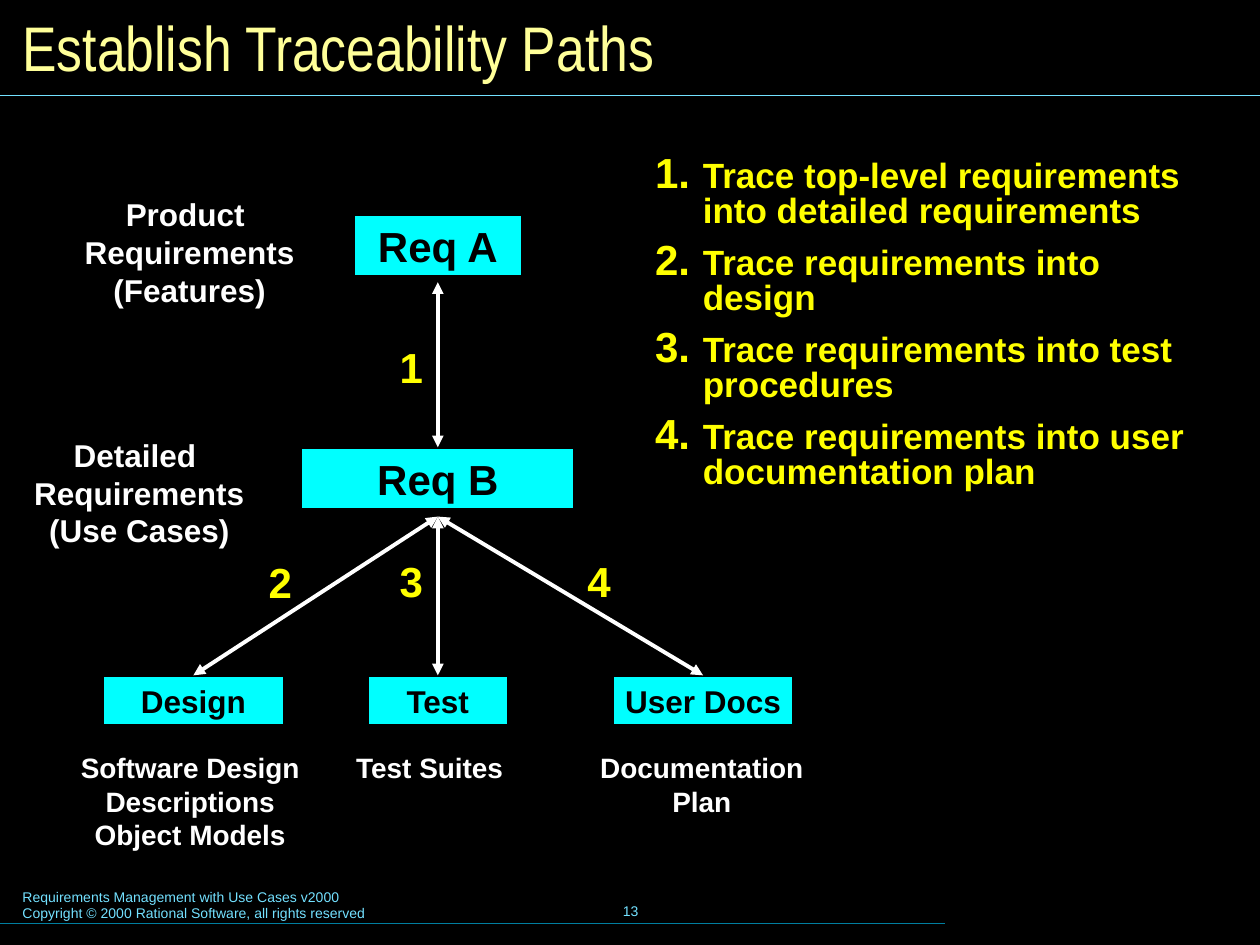
import pptx
import pptx.dml.color
import pptx.enum.shapes
import pptx.enum.text
import pptx.oxml
import pptx.oxml.ns
import pptx.util

RGBColor = pptx.dml.color.RGBColor
BLACK = RGBColor(0x00, 0x00, 0x00)
WHITE = RGBColor(0xFF, 0xFF, 0xFF)
YELLOW = RGBColor(0xFF, 0xFF, 0x00)
PALE_YELLOW = RGBColor(0xFF, 0xFF, 0x99)
CYAN = RGBColor(0x00, 0xFF, 0xFF)
SKY = RGBColor(0x73, 0xE1, 0xFF)
TEAL = RGBColor(0x00, 0x7E, 0x9F)

LEFT = pptx.enum.text.PP_ALIGN.LEFT
CENTER = pptx.enum.text.PP_ALIGN.CENTER
TOP = pptx.enum.text.MSO_ANCHOR.TOP
MIDDLE = pptx.enum.text.MSO_ANCHOR.MIDDLE

COLUMNS, ROWS = 100, 75
SLIDE_WIDTH = pptx.util.Inches(10)
SLIDE_HEIGHT = pptx.util.Inches(7.5)
AXIS = 34.75

STEPS = (
    "Trace top-level requirements into detailed requirements",
    "Trace requirements into design",
    "Trace requirements into test procedures",
    "Trace requirements into user documentation plan",
)
LABELS = (
    ("Product \vRequirements\n(Features)", 18, 5.7, 15, 18.7, 10),
    ("Detailed \vRequirements\v(Use Cases)", 18, 1.7, 34.1, 18.7, 10),
    ("Software Design\vDescriptions\vObject Models", 16, 4.1, 59.1, 22, 9),
    ("Test Suites", 16, 26, 59.1, 16.2, 3.7),
    ("Documentation\vPlan", 16, 45.6, 59.1, 20.2, 6.3),
)
NUMBERS = (("1", 30.7, 26.6), ("2", 20.3, 43.7), ("3", 30.7, 43.6), ("4", 45.6, 43.6))
OUTPUTS = (("Design", 15.35, 14.5), ("Test", AXIS, 11.3), ("User Docs", 55.8, 14.4))


def across(columns):
    return round(SLIDE_WIDTH * columns / COLUMNS)


def down(rows):
    return round(SLIDE_HEIGHT * rows / ROWS)


def grid_area(column, row, columns, rows):
    return across(column), down(row), across(columns), down(rows)


def format_font(font, size, color, bold=False, name="Arial"):
    font.name = name
    font.size = pptx.util.Pt(size)
    font.bold = bold
    font.color.rgb = color


def set_text(shape, text, size, color, bold=True, align=CENTER, anchor=TOP, name="Arial"):
    text_frame = shape.text_frame
    text_frame.text = text
    text_frame.word_wrap = align == LEFT
    text_frame.vertical_anchor = anchor
    for paragraph in text_frame.paragraphs:
        paragraph.alignment = align
        for run in paragraph.runs:
            format_font(run.font, size, color, bold, name)


def add_text(slide, area, text, size, color, **style):
    set_text(slide.shapes.add_textbox(*grid_area(*area)), text, size, color, **style)


def add_box(slide, text, center, row, columns, rows, size):
    area = grid_area(center - columns / 2, row, columns, rows)
    shape = slide.shapes.add_shape(pptx.enum.shapes.MSO_SHAPE.RECTANGLE, *area)
    shape.shadow.inherit = False
    shape.fill.solid()
    shape.fill.fore_color.rgb = CYAN
    shape.line.color.rgb = BLACK
    shape.line.width = pptx.util.Pt(2.25)
    set_text(shape, text, size, BLACK, anchor=MIDDLE)
    return shape


def add_line(slide, start, end, color, width):
    connector = slide.shapes.add_connector(
        pptx.enum.shapes.MSO_CONNECTOR.STRAIGHT,
        across(start[0]), down(start[1]), across(end[0]), down(end[1]))
    connector.line.color.rgb = color
    connector.line.width = pptx.util.Pt(width)
    properties = connector.element.spPr
    properties.append(pptx.oxml.parse_xml(
        "<a:effectLst %s/>" % pptx.oxml.ns.nsdecls("a")))
    return connector


def add_trace(slide, row, target):
    start = (AXIS, row)
    connector = add_line(slide, start, start, WHITE, 2.25)
    connector.end_connect(target, 0)
    line = connector.line._get_or_add_ln()
    for tag in ("headEnd", "tailEnd"):
        line.append(pptx.oxml.parse_xml(
            '<a:%s %s type="triangle"/>' % (tag, pptx.oxml.ns.nsdecls("a"))))


def add_steps(slide):
    text_frame = slide.shapes.add_textbox(*grid_area(51, 11.9, 46.5, 35.2)).text_frame
    text_frame.word_wrap = True
    for index, step in enumerate(STEPS):
        paragraph = text_frame.add_paragraph() if index else text_frame.paragraphs[0]
        properties = paragraph._p.get_or_add_pPr()
        properties.set("marL", str(across(3.8)))
        properties.set("indent", str(-across(3.8)))
        paragraph.line_spacing = 0.8
        paragraph.space_before = pptx.util.Pt(7.5 if index else 0)
        for text, size in ((f"{index + 1}.\t", 24), (step, 20)):
            run = paragraph.add_run()
            run.text = text
            format_font(run.font, size, YELLOW, True)


def add_frame(slide):
    add_line(slide, (0, 7.6), (COLUMNS, 7.6), SKY, 0.75)
    add_line(slide, (0, 73.3), (75, 73.3), TEAL, 0.75)
    add_text(slide, (0.8, 0.8, 98.4, 5.8), "Establish Traceability Paths", 36, PALE_YELLOW,
             bold=False, align=LEFT, anchor=MIDDLE, name="Arial Narrow")
    add_text(slide, (0.8, 70, 51, 3.7),
             "Requirements Management with Use Cases v2000\n"
             "Copyright © 2000 Rational Software, all rights reserved",
             8, SKY, bold=False, align=LEFT)
    add_text(slide, (34.2, 69.8, 31.7, 5), "13", 8, SKY, bold=False, anchor=MIDDLE)


def add_diagram(slide):
    add_box(slide, "Req A", AXIS, 17, 13.5, 5, 24)
    detailed = add_box(slide, "Req B", AXIS, 35.5, 21.8, 5, 24)
    outputs = [add_box(slide, text, center, 53.6, columns, 4, 18)
               for text, center, columns in OUTPUTS]
    for text, size, *area in LABELS:
        add_text(slide, area, text, size, WHITE)
    for text, column, row in NUMBERS:
        add_text(slide, (column, row, 3.9, 5), text, 24, YELLOW)
    add_trace(slide, 22.4, detailed)
    for output in outputs:
        add_trace(slide, 41, output)


def main():
    presentation = pptx.Presentation()
    presentation.slide_width = SLIDE_WIDTH
    presentation.slide_height = SLIDE_HEIGHT
    slide = presentation.slides.add_slide(presentation.slide_layouts[6])
    slide.background.fill.solid()
    slide.background.fill.fore_color.rgb = BLACK
    add_frame(slide)
    add_steps(slide)
    add_diagram(slide)
    presentation.save("out.pptx")


if __name__ == "__main__":
    main()
